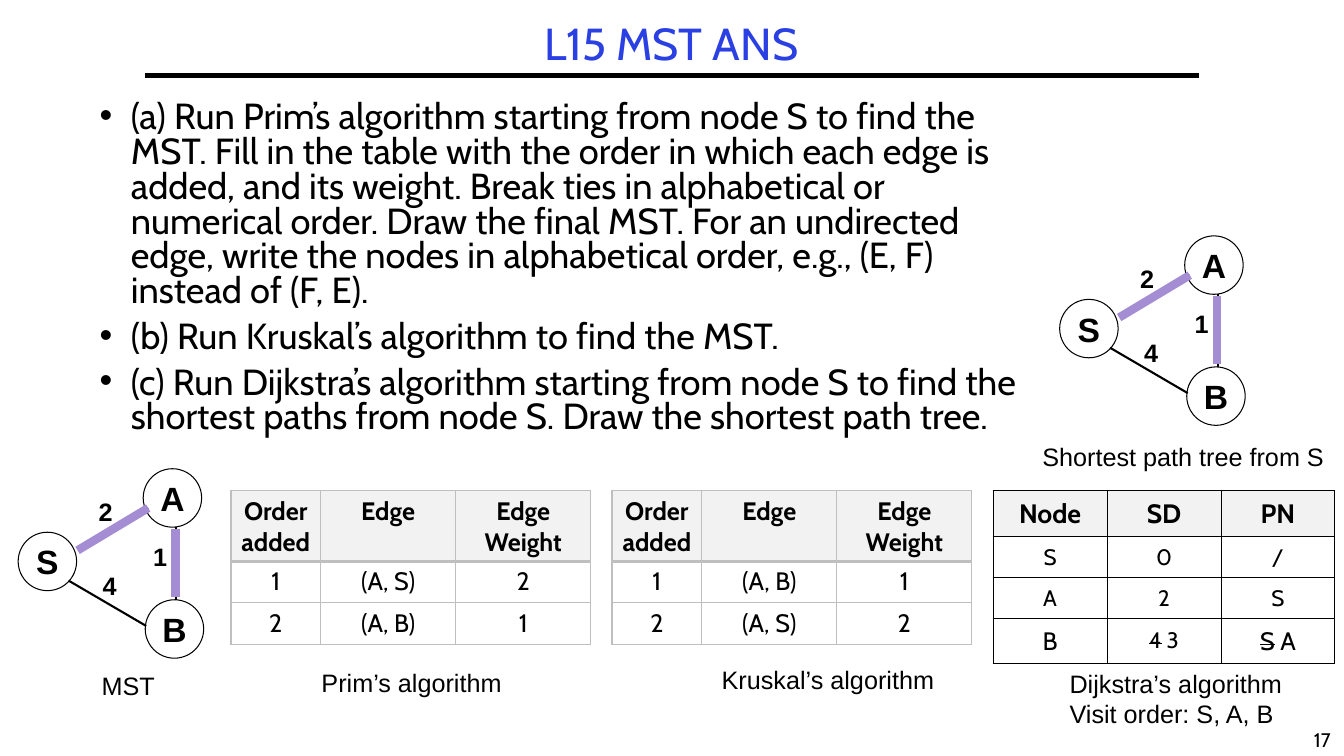
from lxml.etree import SubElement
from pptx import Presentation
from pptx.dml.color import RGBColor
from pptx.enum.shapes import MSO_CONNECTOR as Connector, MSO_SHAPE as Shape
from pptx.enum.text import MSO_ANCHOR as Anchor, PP_ALIGN as Align
from pptx.oxml.ns import qn
from pptx.util import Inches, Pt

TITLE = "L15 MST ANS"
QUESTIONS = [
    "(a) Run Prim’s algorithm starting from node S to find the MST. Fill in the table with the order "
    "in which each edge is added, and its weight. Break ties in alphabetical or numerical order. "
    "Draw the final MST. For an undirected edge, write the nodes in alphabetical order, e.g., (E, F) "
    "instead of (F, E).",
    "(b) Run Kruskal’s algorithm to find the MST.",
    "(c) Run Dijkstra’s algorithm starting from node S to find the shortest paths from node S. "
    "Draw the shortest path tree.",
]
EDGE_HEADER = ["Order added", "Edge", "Edge Weight"]
EDGE_TABLES = [
    (2.29, [EDGE_HEADER, ["1", "(A, S)", "2"], ["2", "(A, B)", "1"]]),
    (6.07, [EDGE_HEADER, ["1", "(A, B)", "1"], ["2", "(A, S)", "2"]]),
]
DISTANCES = [["Node", "SD", "PN"], ["S", "0", "/"], ["A", "2", "S"], ["B", ("4", " 3"), ("S", " A")]]
DISTANCE_SIZES = [[19] * 3, [16] * 3, [16] * 3, [18, 16, 18]]
CAPTIONS = [
    (3.09, 6.57, 2.01, ["Prim’s algorithm"]),
    (7.06, 6.54, 2.33, ["Kruskal’s algorithm"]),
    (10.51, 6.58, 2.33, ["Dijkstra’s algorithm", "Visit order: S, A, B"]),
    (0.91, 6.6, 0.73, ["MST"]),
    (10.24, 4.33, 3.02, ["Shortest path tree from S"]),
]
GRAPH_ORIGINS = [(0.18, 4.65), (10.51, 2.34)]
NODE = 0.58
NODES = {"S": (0, 0.63), "A": (1.24, 0), "B": (1.26, 1.3)}
EDGES = [((0.59, 0.78), (1.29, 0.39)), ((1.57, 0.58), (1.57, 1.3)), ((0.5, 1.11), (1.27, 1.56))]
TREE_EDGES = [((1.29, 0.39), (0.59, 0.81)), ((1.56, 1.27), (1.56, 0.6))]
WEIGHTS = {"2": (0.7, 0.22), "1": (1.24, 0.67), "4": (0.74, 0.96)}

BLACK, BLUE, PURPLE, GREY, PALE, WHITE = "000000", "2A40E2", "A48DD3", "BFBFBF", "F2F2F2", "FFFFFF"
TABLE_TOP = 4.87

deck = Presentation()
deck.slide_width, deck.slide_height = Inches(13.33), Inches(7.5)
slide = deck.slides.add_slide(deck.slide_layouts[6])


def color(value):
    return RGBColor.from_string(value)


def write(frame, lines, size=18, font="Arial", ink=BLACK, bold=False, align=Align.LEFT,
          spacing=None, gap=0, bullet=False):
    for index, line in enumerate(lines):
        paragraph = frame.paragraphs[0] if index == 0 else frame.add_paragraph()
        if bullet:
            props = paragraph._p.get_or_add_pPr()
            props.set("marL", str(Inches(0.31)))
            props.set("indent", str(-Inches(0.31)))
            SubElement(props, qn("a:buFont"), typeface="Arial")
            SubElement(props, qn("a:buChar"), char="•")
        paragraph.alignment = align
        paragraph.space_before = Pt(gap if index else 0)
        if spacing:
            paragraph.line_spacing = spacing
        struck, plain = line if isinstance(line, tuple) else ("", line)
        for words, strike in ((struck, True), (plain, False)):
            if not words:
                continue
            run = paragraph.add_run()
            run.text = words
            run.font.name, run.font.size, run.font.bold = font, Pt(size), bold
            run.font.color.rgb = color(ink)
            if strike:
                run._r.get_or_add_rPr().set("strike", "sngStrike")


def add_words(left, top, width, height, lines, wrap=True, anchor=Anchor.TOP, **style):
    frame = slide.shapes.add_textbox(*map(Inches, (left, top, width, height))).text_frame
    frame.word_wrap, frame.vertical_anchor = wrap, anchor
    write(frame, lines, **style)


def add_line(start, end, ink, width, origin=(0, 0)):
    points = [Inches(origin[i] + point[i]) for point in (start, end) for i in (0, 1)]
    line = slide.shapes.add_connector(Connector.STRAIGHT, *points)
    line.line.color.rgb, line.line.width = color(ink), Pt(width)
    SubElement(line._element.spPr, qn("a:effectLst"))


def add_border(cell, ink, widths):
    props = cell._tc.get_or_add_tcPr()
    for side, width in zip("LRTB", widths):
        border = SubElement(props, qn(f"a:ln{side}"), w=str(Pt(width)))
        SubElement(SubElement(border, qn("a:solidFill")), qn("a:srgbClr"), val=ink)


def add_grid(left, rows, columns, heights, sizes, ink, line, rule, body_fill, margins, anchor):
    grid = slide.shapes.add_table(len(rows), len(columns), Inches(left), Inches(TABLE_TOP),
                                  Inches(sum(columns)), Inches(sum(heights))).table
    grid.first_row = grid.horz_banding = False
    for column, width in zip(grid.columns, columns):
        column.width = Inches(width)
    for r, row in enumerate(rows):
        grid.rows[r].height = Inches(heights[r])
        for c, words in enumerate(row):
            cell = grid.cell(r, c)
            add_border(cell, ink, (line, line, rule if r == 1 else line, rule if r == 0 else line))
            fill = PALE if r == 0 else body_fill
            if fill:
                cell.fill.solid()
                cell.fill.fore_color.rgb = color(fill)
            else:
                cell.fill.background()
            cell.margin_left = cell.margin_right = Inches(margins[0])
            cell.margin_top = cell.margin_bottom = Inches(margins[1])
            cell.vertical_anchor = anchor
            write(cell.text_frame, [words], size=sizes[r][c], font="Cabin", bold=r == 0, align=Align.CENTER)


def add_graph(origin):
    x, y = origin
    for name, (dx, dy) in NODES.items():
        node = slide.shapes.add_shape(Shape.OVAL, *map(Inches, (x + dx, y + dy, NODE, NODE)))
        node.shadow.inherit = False
        node.fill.solid()
        node.fill.fore_color.rgb = color(WHITE)
        node.line.color.rgb, node.line.width = color(BLACK), Pt(0.75)
        node.text_frame.word_wrap, node.text_frame.vertical_anchor = False, Anchor.MIDDLE
        write(node.text_frame, [name], size=24, bold=True, align=Align.CENTER)
    for start, end in EDGES:
        add_line(start, end, BLACK, 1.5, origin)
    for weight, (dx, dy) in WEIGHTS.items():
        add_words(x + dx, y + dy, 0.5, 0.4, [weight], bold=True)
    for start, end in TREE_EDGES:
        add_line(start, end, PURPLE, 6, origin)


add_words(12.9, 7.17, 0.43, 0.33, ["17"], wrap=False, size=14, font="Cabin", align=Align.CENTER)
add_line((1.44, 0.75), (11.89, 0.75), BLACK, 3)
add_words(1.44, 0.17, 10.44, 0.58, [TITLE], anchor=Anchor.MIDDLE, size=32, font="Cabin", ink=BLUE,
          align=Align.CENTER, spacing=0.9)
add_words(0.89, 0.96, 9.37, 3.67, QUESTIONS, size=25.9, font="Cabin", spacing=0.8, gap=7.7, bullet=True)
for left, rows in EDGE_TABLES:
    add_grid(left, rows, [0.89, 1.34, 1.34], [0.7, 0.41, 0.41], [[18] * 3] * 3,
             GREY, 1, 3, WHITE, (0.1, 0.05), Anchor.TOP)
add_grid(9.85, DISTANCES, [1.13] * 3, [0.44, 0.4, 0.4, 0.4], DISTANCE_SIZES,
         BLACK, 0.75, 0.75, None, (0.07, 0.07), Anchor.MIDDLE)
for origin in GRAPH_ORIGINS:
    add_graph(origin)
for left, top, width, lines in CAPTIONS:
    add_words(left, top, width, 0.1 + 0.3 * len(lines), lines, wrap=False)

deck.save("out.pptx")
